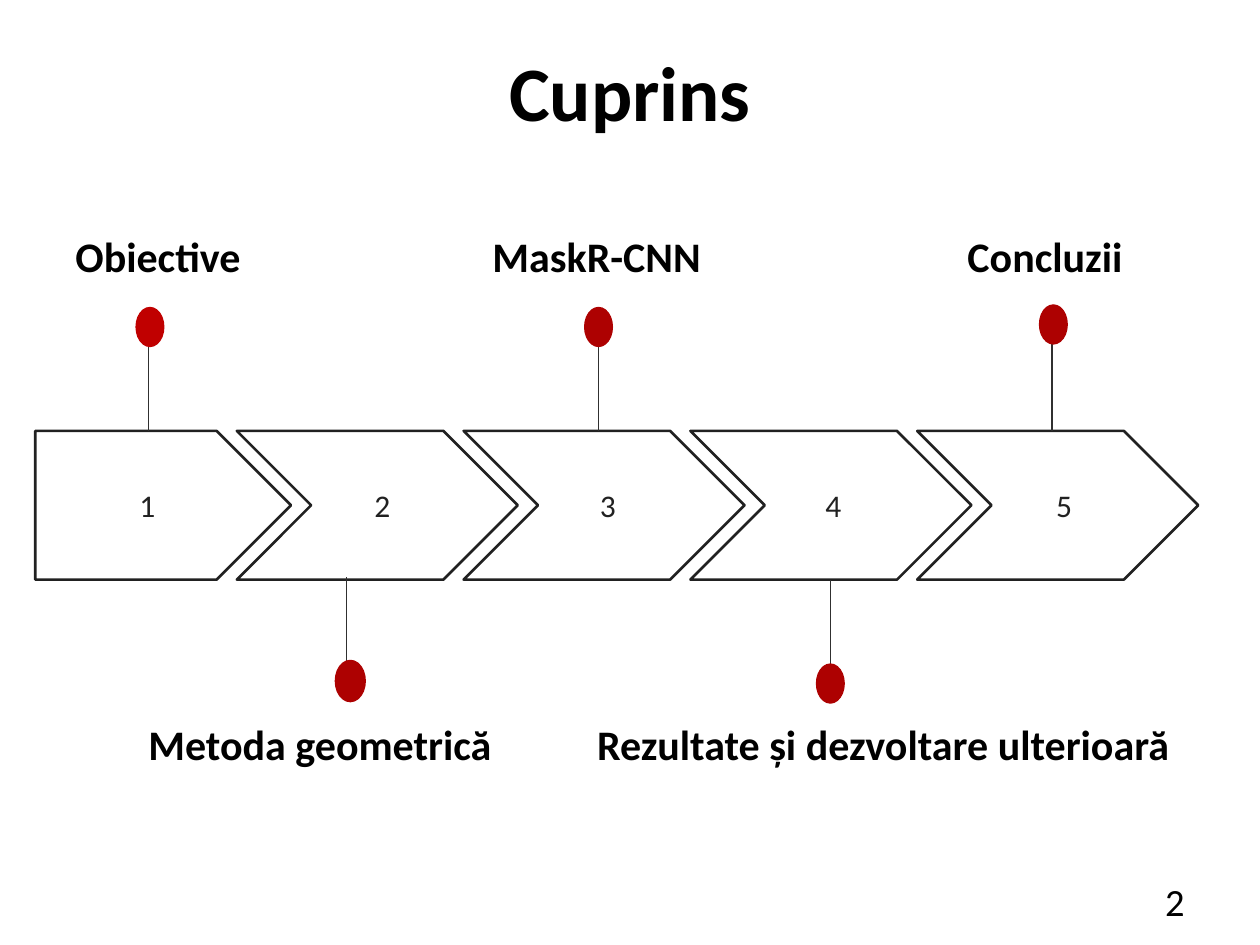
from lxml import etree
from pptx import Presentation
from pptx.dml.color import RGBColor
from pptx.enum import shapes, text
from pptx.oxml import ns
from pptx.util import Inches, Pt

BLACK = RGBColor(0, 0, 0)
WHITE = RGBColor(255, 255, 255)
INK = RGBColor(0x21, 0x21, 0x21)
STEM = RGBColor(0x30, 0x30, 0x30)
RED = RGBColor(0xAD, 0x01, 0x01)
BRIGHT = RGBColor(0xC0, 0, 0)

KIND = shapes.MSO_SHAPE
ALIGN = text.PP_ALIGN
ANCHOR = text.MSO_ANCHOR

TOP = 3.42
HIGH = 1.18
STEP = 1.8


class Deck:
    font = "Calibri"

    def __init__(self):
        self.prs = Presentation()
        self.prs.slide_width = Inches(10)
        self.prs.slide_height = Inches(7.5)
        self.slide = self.prs.slides.add_slide(self.prs.slide_layouts[5])

    def fill_text(self, frame, words, size, color, bold, align):
        frame.text = words
        para = frame.paragraphs[0]
        para.alignment = align
        font = para.runs[0].font
        font.name = self.font
        font.size = Pt(size)
        font.bold = bold
        font.color.rgb = color
        return para

    def title(self, words, x, y, w, h):
        box = self.slide.shapes.title
        box.left, box.top = Inches(x), Inches(y)
        box.width, box.height = Inches(w), Inches(h)
        box.text_frame.vertical_anchor = ANCHOR.TOP
        self.fill_text(box.text_frame, words, 44, BLACK, True, ALIGN.CENTER)

    def shape(self, kind, x, y, w, h, fill, line, width):
        item = self.slide.shapes.add_shape(
            kind, Inches(x), Inches(y), Inches(w), Inches(h))
        item.shadow.inherit = False
        item.fill.solid()
        item.fill.fore_color.rgb = fill
        item.line.color.rgb = line
        item.line.width = Pt(width)
        return item

    def line(self, x, start, end):
        item = self.slide.shapes.add_connector(
            shapes.MSO_CONNECTOR.STRAIGHT,
            Inches(x), Inches(start), Inches(x), Inches(end))
        item.line.color.rgb = STEM
        item.line.width = Pt(0.75)
        etree.SubElement(item._element.spPr, ns.qn("a:effectLst"))

    def pin(self, x, start, end, left, top, color, width):
        self.line(x, start, end)
        self.shape(KIND.OVAL, left, top, 0.22, 0.31, color, color, width)

    def box(self, words, x, y, w, h, size, color, bold=False,
            align=ALIGN.LEFT, anchor=ANCHOR.TOP, inset=0.1):
        item = self.slide.shapes.add_textbox(
            Inches(x), Inches(y), Inches(w), Inches(h))
        frame = item.text_frame
        frame.word_wrap = True
        frame.vertical_anchor = anchor
        frame.margin_left = frame.margin_right = Inches(0.1)
        frame.margin_top = frame.margin_bottom = Inches(inset)
        return self.fill_text(frame, words, size, color, bold, align)

    def label(self, words, x, y, w):
        para = self.box(words, x, y, w, 0.62, 24, BLACK, True)
        para.line_spacing = 1.15
        para.space_after = Pt(16)


def main():
    deck = Deck()
    deck.title("Cuprins", 0.5, 0.3, 9, 1.25)

    deck.shape(KIND.PENTAGON, 0.28, TOP, 2.03, HIGH, WHITE, INK, 1.5)
    for i in range(4):
        deck.shape(KIND.CHEVRON, 1.88 + i * STEP, TOP, 2.23, HIGH,
                   WHITE, INK, 1.5)

    spots = [(0.38, 1.58), (2.32, 1.43), (4.11, 1.43), (5.9, 1.43),
             (7.73, 1.43)]
    for num, (x, w) in enumerate(spots, 1):
        deck.box(str(num), x, 3.63, w, 0.75, 18, INK,
                 align=ALIGN.CENTER, anchor=ANCHOR.MIDDLE)

    pins = [
        (1.18, 2.54, TOP, 1.08, 2.44, BRIGHT, 0.75),
        (2.75, 5.46, 4.58, 2.67, 5.25, RED, 2),
        (4.75, 2.54, TOP, 4.64, 2.44, RED, 0.75),
        (6.59, 5.47, 4.6, 6.48, 5.27, RED, 0.75),
        (8.35, 2.54, TOP, 8.25, 2.42, RED, 0.75),
    ]
    for pin in pins:
        deck.pin(*pin)

    labels = [
        ("Obiective", 0.5, 1.67, 2.03),
        ("Metoda geometrică", 1.08, 5.54, 4.44),
        ("MaskR-CNN", 3.81, 1.67, 3.65),
        ("Rezultate și dezvoltare ulterioară", 4.64, 5.54, 4.86),
        ("Concluzii", 7.58, 1.67, 1.92),
    ]
    for label in labels:
        deck.label(*label)

    deck.box("2", 7.17, 6.95, 2.33, 0.4, 22, BLACK,
             align=ALIGN.RIGHT, anchor=ANCHOR.MIDDLE, inset=0.05)
    deck.prs.save("out.pptx")


if __name__ == "__main__":
    main()
